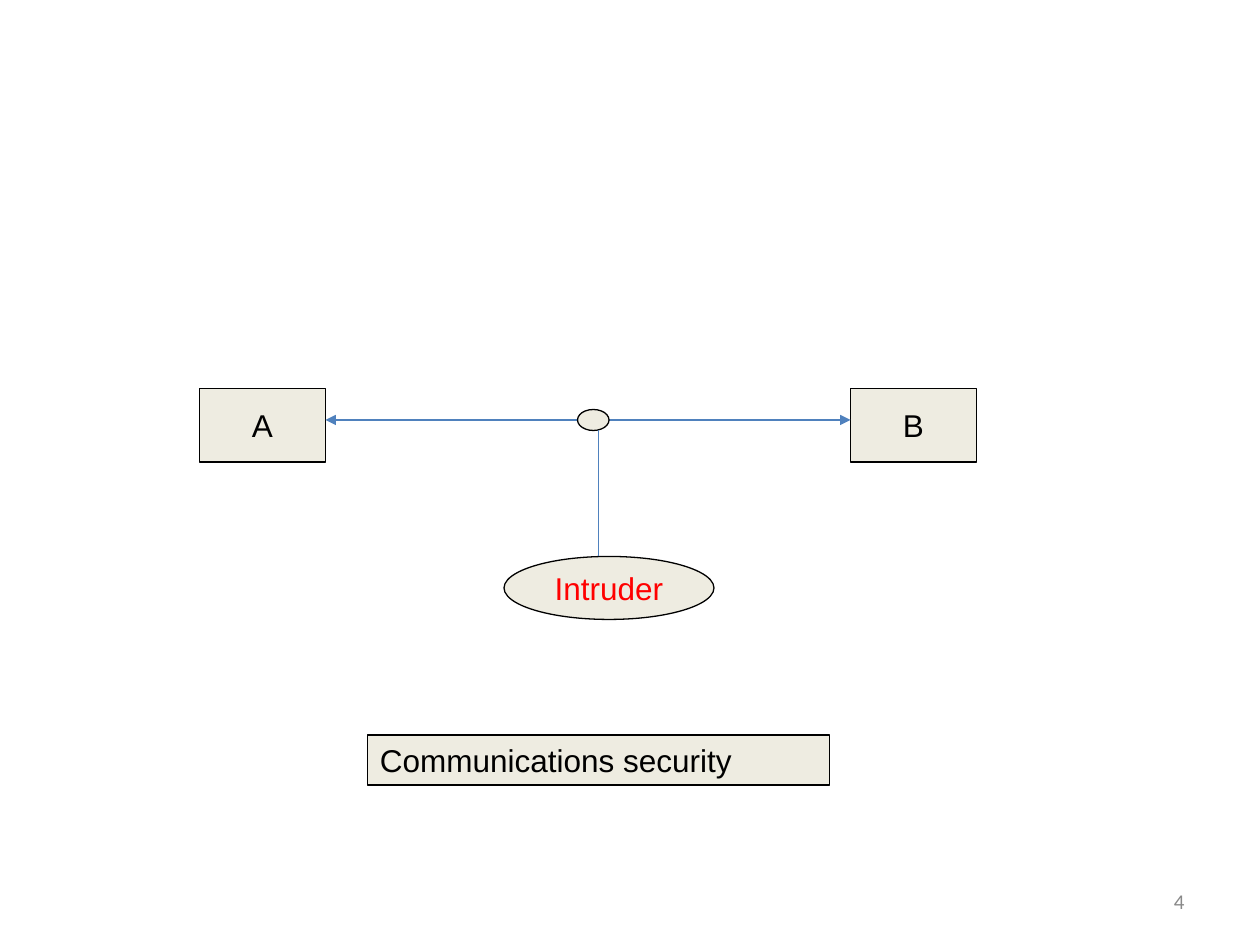
import pptx
import pptx.util
import pptx.dml.color
import pptx.enum.shapes
import pptx.enum.text
import pptx.oxml.ns
import lxml.etree

Pt = pptx.util.Pt
Kind = pptx.enum.shapes.MSO_SHAPE
Align = pptx.enum.text.PP_ALIGN
Anchor = pptx.enum.text.MSO_ANCHOR
CELL = pptx.util.Inches(1) / 12
INK = {"text": "000000", "fill": "EEECE1", "wire": "4F81BD",
       "alert": "FF0000", "page": "898989"}


def grid(*cells):
    """Turn counts of grid cells into lengths."""
    return [round(cell * CELL) for cell in cells]


def tint(name):
    """Return a named colour."""
    return pptx.dml.color.RGBColor.from_string(INK[name])


def write(shape, words, ink="text", size=18, font="Arial",
          align=Align.CENTER, anchor=Anchor.MIDDLE, wrap=False):
    """Write one run of text in a shape."""
    frame = shape.text_frame
    frame.word_wrap = wrap
    frame.vertical_anchor = anchor
    para = frame.paragraphs[0]
    para.alignment = align
    run = para.add_run()
    run.text = words
    run.font.size = Pt(size)
    run.font.name = font
    run.font.color.rgb = tint(ink)
    return para


def node(slide, kind, box, width=0.75):
    """Add a filled and outlined shape."""
    shape = slide.shapes.add_shape(kind, *grid(*box))
    shape.shadow.inherit = False
    shape.fill.solid()
    shape.fill.fore_color.rgb = tint("fill")
    shape.line.color.rgb = tint("text")
    shape.line.width = Pt(width)
    return shape


def wire(slide, start, end, heads=False):
    """Add a straight line, with arrowheads at both ends if asked."""
    line = slide.shapes.add_connector(
        pptx.enum.shapes.MSO_CONNECTOR.STRAIGHT, *grid(*start, *end))
    line.line.color.rgb = tint("wire")
    line.line.width = Pt(0.75)
    qn = pptx.oxml.ns.qn
    props = line.line._get_or_add_ln()
    for tag in ("a:headEnd", "a:tailEnd") if heads else ():
        lxml.etree.SubElement(props, qn(tag), type="triangle")
    lxml.etree.SubElement(line._element.spPr, qn("a:effectLst"))


def channel(slide, box):
    """Draw two parties, the link between them and the intruder."""
    left, top, width, height = box
    side, link = 12, top + 3
    right = left + width - side
    for x, name in ((left, "A"), (right, "B")):
        write(node(slide, Kind.RECTANGLE, (x, top, side, 7)), name)
    wire(slide, (left + side, link), (right, link), heads=True)
    tap = left + width / 2 + 1
    node(slide, Kind.OVAL, (tap - 2, link - 1, 3, 2))
    base = top + height - 6
    spy = node(slide, Kind.OVAL, (tap - 9, base, 20, 6))
    write(spy, "Intruder", "alert")
    wire(slide, (tap, base), (tap, link + 1))


def caption(slide, box):
    """Add the framed caption."""
    frame = node(slide, Kind.RECTANGLE, box, 1)
    para = write(frame, "Communications security", align=Align.LEFT,
                 anchor=Anchor.TOP, wrap=True)
    para.space_before = Pt(11.2)
    frame.text_frame.auto_size = pptx.enum.text.MSO_AUTO_SIZE.SHAPE_TO_FIT_TEXT


def number(slide, box):
    """Add the page number."""
    text = slide.shapes.add_textbox(*grid(*box))
    write(text, "4", "page", 12, "Calibri", Align.RIGHT, wrap=True)


def main():
    """Build the slide and save it."""
    deck = pptx.Presentation()
    deck.slide_width, deck.slide_height = grid(120, 90)
    slide = deck.slides.add_slide(deck.slide_layouts[6])
    number(slide, (86, 83.4, 28, 4.8))
    channel(slide, (19, 37, 74, 22))
    caption(slide, (35, 70, 44, 4.8))
    deck.save("out.pptx")


if __name__ == "__main__":
    main()
